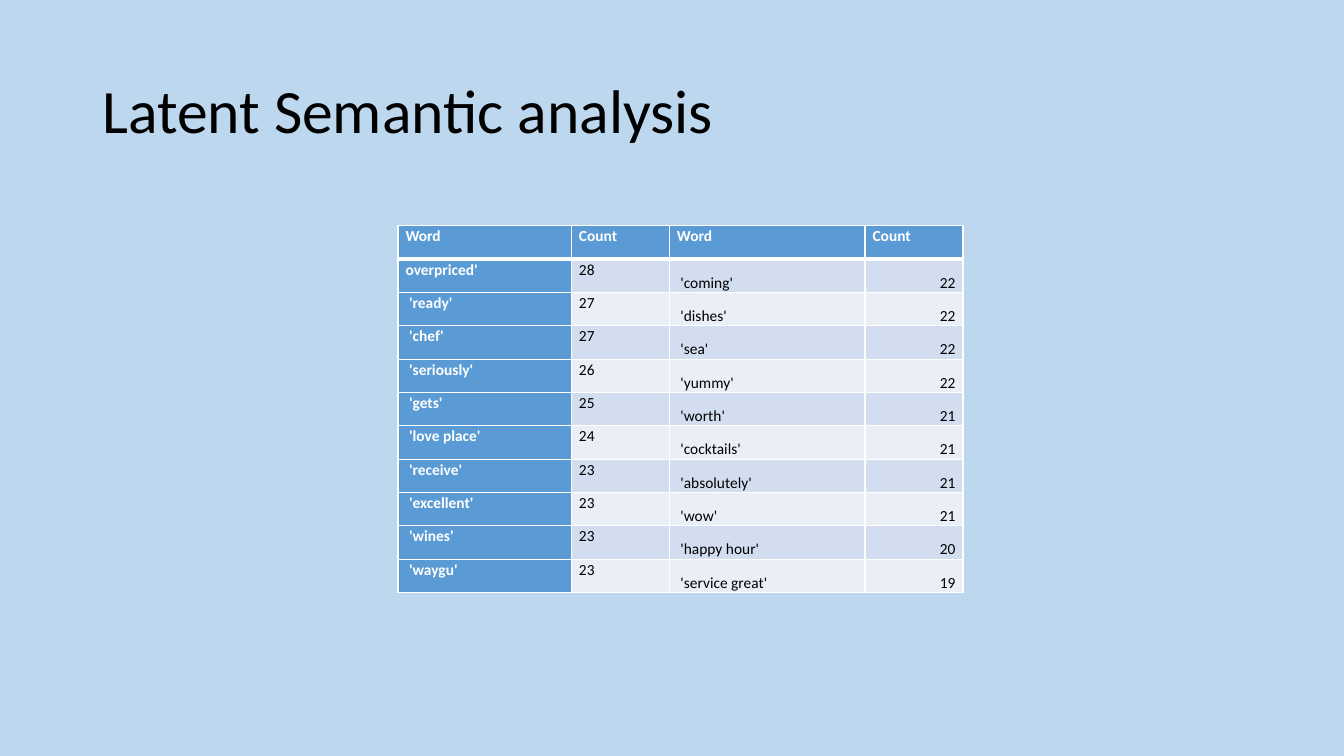
"""Build a slide with a table of word counts from latent semantic analysis."""
from lxml import etree
from pptx import Presentation
from pptx.dml.color import RGBColor
from pptx.enum.text import MSO_ANCHOR, PP_ALIGN
from pptx.oxml.ns import qn
from pptx.util import Cm, Pt

TITLE = "Latent Semantic analysis"
ROWS = [
    ("Word", "Count", "Word", "Count"),
    ("overpriced'", "28", " 'coming'", "22"),
    (" 'ready'", "27", " 'dishes'", "22"),
    (" 'chef'", "27", " 'sea'", "22"),
    (" 'seriously'", "26", " 'yummy'", "22"),
    (" 'gets'", "25", " 'worth'", "21"),
    (" 'love place'", "24", " 'cocktails'", "21"),
    (" 'receive'", "23", " 'absolutely'", "21"),
    (" 'excellent'", "23", " 'wow'", "21"),
    (" 'wines'", "23", " 'happy hour'", "20"),
    (" 'waygu'", "23", " 'service great'", "19"),
]
WIDTHS = (4.37, 2.47, 4.93, 2.47)
HIGH = 0.84
FONT = "Calibri"
SKY = RGBColor(0xBD, 0xD7, 0xEE)
BLUE = RGBColor(0x5B, 0x9B, 0xD5)
BANDS = (RGBColor(0xEA, 0xEF, 0xF7), RGBColor(0xD2, 0xDE, 0xEF))
WHITE = RGBColor(0xFF, 0xFF, 0xFF)
BLACK = RGBColor(0, 0, 0)
TOP, MIDDLE, BOTTOM = MSO_ANCHOR.TOP, MSO_ANCHOR.MIDDLE, MSO_ANCHOR.BOTTOM
LEFT, RIGHT = PP_ALIGN.LEFT, PP_ALIGN.RIGHT


def write(frame, text, size, color, bold=False, space=0.9, align=LEFT):
    frame.text = text
    para = frame.paragraphs[0]
    para.alignment = align
    para.line_spacing = space
    font = para.runs[0].font
    font.name, font.size, font.bold = FONT, Pt(size), bold
    font.color.rgb = color


def border(cell, row):
    props = cell._tc.get_or_add_tcPr()
    thick = {0: "lnB", 1: "lnT"}.get(row)
    for side in ("lnL", "lnR", "lnT", "lnB"):
        width = Pt(3 if side == thick else 1)
        line = etree.SubElement(props, qn("a:" + side), w=str(width))
        fill = etree.SubElement(line, qn("a:solidFill"))
        etree.SubElement(fill, qn("a:srgbClr"), val=str(WHITE))


def style(cell, row, col, text):
    head = row == 0 or col == 0
    low = row > 0 and col > 1
    border(cell, row)
    cell.fill.solid()
    cell.fill.fore_color.rgb = BLUE if head else BANDS[row % 2]
    cell.margin_left = cell.margin_right = Cm(0.19)
    cell.margin_top = cell.margin_bottom = 0
    cell.vertical_anchor = BOTTOM if low else TOP
    write(cell.text_frame, text, 11, WHITE if head else BLACK, head, 1.07,
          RIGHT if low and col == 3 else LEFT)


def main():
    deck = Presentation()
    deck.slide_width, deck.slide_height = Cm(33.87), Cm(19.05)
    slide = deck.slides.add_slide(deck.slide_layouts[6])
    slide.background.fill.solid()
    slide.background.fill.fore_color.rgb = SKY

    box = slide.shapes.add_textbox(Cm(2.33), Cm(1.01), Cm(29.21), Cm(3.68))
    box.text_frame.word_wrap = True
    box.text_frame.vertical_anchor = MIDDLE
    write(box.text_frame, TITLE, 44, BLACK)

    table = slide.shapes.add_table(
        len(ROWS), len(WIDTHS), Cm(10.03), Cm(5.69),
        Cm(sum(WIDTHS)), Cm(HIGH * len(ROWS))).table
    for col, width in enumerate(WIDTHS):
        table.columns[col].width = Cm(width)
    for row, texts in enumerate(ROWS):
        table.rows[row].height = Cm(HIGH)
        for col, text in enumerate(texts):
            style(table.cell(row, col), row, col, text)
    deck.save("out.pptx")


if __name__ == "__main__":
    main()
